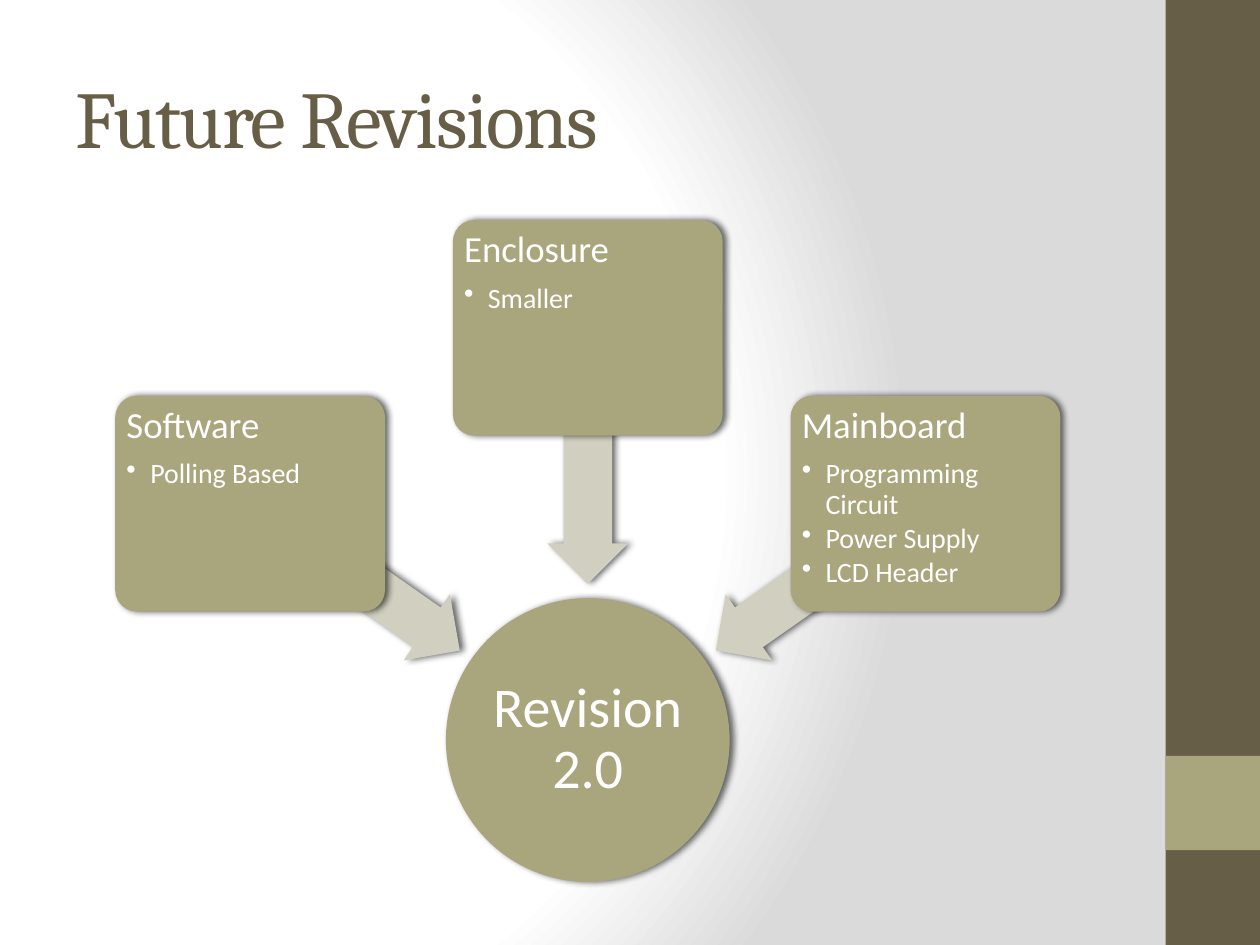
from dataclasses import dataclass
from math import cos, radians, sin

from lxml.etree import SubElement
from pptx import Presentation
from pptx.dml.color import RGBColor
from pptx.enum.shapes import MSO_SHAPE
from pptx.enum.text import MSO_ANCHOR, PP_ALIGN
from pptx.oxml.ns import qn
from pptx.util import Cm, Pt


@dataclass(frozen=True)
class Theme:
    dark: str = "675E47"
    olive: str = "A9A57C"
    pale: str = "D1CFBF"
    white: str = "FFFFFF"
    grey: str = "DADADA"
    black: str = "000000"
    heading_font: str = "Cambria"
    body_font: str = "Calibri"
    title_size: float = 46
    hub_size: float = 32
    heading_size: float = 21
    bullet_size: float = 16


THEME = Theme()
SLIDE_WIDTH, SLIDE_HEIGHT = 25.4, 19.05
HUB_X, HUB_Y, HUB_DIAMETER = 11.85, 14.92, 5.72
CARD_RADIUS, CARD_WIDTH, CARD_HEIGHT = 8.31, 5.44, 4.35
ARROW_RADIUS, ARROW_LENGTH, ARROW_THICKNESS = 5.73, 5.16, 1.63
TIGHT_MARGINS = dict.fromkeys(
    ("margin_left", "margin_top", "margin_right", "margin_bottom"), Cm(0.1))
TOPICS = [
    (215, "Software", ["Polling Based"]),
    (270, "Enclosure", ["Smaller"]),
    (325, "Mainboard", ["Programming Circuit", "Power Supply", "LCD Header"]),
]


def apply_format(target, values):
    for name, value in values.items():
        setattr(target, name, value)


def add_xml(parent, tag, **attributes):
    return SubElement(parent, qn(tag), attributes)


def paint_background(slide):
    slide.background.fill.gradient()
    gradient = slide.element.find(".//" + qn("a:gradFill"))
    for child in list(gradient):
        gradient.remove(child)
    stops = add_xml(gradient, "a:gsLst")
    for percent, colour in ((0, THEME.white), (75, THEME.white), (100, THEME.grey)):
        stop = add_xml(stops, "a:gs", pos=str(percent * 1000))
        add_xml(stop, "a:srgbClr", val=colour)
    circle = add_xml(gradient, "a:path", path="circle")
    add_xml(circle, "a:fillToRect", l="20000", t="50000", r="100000", b="50000")


def add_block(slide, preset, left, top, width, height, colour, adjustments=()):
    block = slide.shapes.add_shape(preset, Cm(left), Cm(top), Cm(width), Cm(height))
    block.fill.solid()
    block.fill.fore_color.rgb = RGBColor.from_string(colour)
    block.line.fill.background()
    block.shadow.inherit = False
    for index, value in enumerate(adjustments):
        block.adjustments[index] = value
    return block


def add_raised(slide, preset, centre, width, height, colour, adjustments=()):
    left, top = centre[0] - width / 2, centre[1] - height / 2
    block = add_block(slide, preset, left, top, width, height, colour, adjustments)
    effects = block.element.spPr.find(qn("a:effectLst"))
    shadow = add_xml(effects, "a:outerShdw", blurRad=str(Pt(4)), dist=str(Pt(2)),
                     dir="0", algn="ctr", rotWithShape="0")
    tint = add_xml(shadow, "a:srgbClr", val=THEME.black)
    add_xml(tint, "a:alpha", val="60000")
    return block


def write_line(paragraph, text, font, size, colour, **layout):
    apply_format(paragraph, {"alignment": PP_ALIGN.LEFT, **layout})
    run = paragraph.add_run()
    run.text = text
    apply_format(run.font, {"name": font, "size": Pt(size)})
    run.font.color.rgb = RGBColor.from_string(colour)
    return run


def add_title(slide, text):
    title = slide.shapes.add_textbox(Cm(1.27), Cm(0.76), Cm(21.16), Cm(3.18))
    frame = title.text_frame
    apply_format(frame, {"word_wrap": True, "vertical_anchor": MSO_ANCHOR.MIDDLE})
    run = write_line(frame.paragraphs[0], text, THEME.heading_font,
                     THEME.title_size, THEME.dark)
    run.font._element.set("spc", "-100")


def add_hub(slide, text):
    hub = add_raised(slide, MSO_SHAPE.OVAL, (HUB_X, HUB_Y), HUB_DIAMETER,
                     HUB_DIAMETER, THEME.olive)
    frame = hub.text_frame
    apply_format(frame, {"word_wrap": True, "vertical_anchor": MSO_ANCHOR.MIDDLE,
                         **TIGHT_MARGINS})
    write_line(frame.paragraphs[0], text, THEME.body_font, THEME.hub_size,
               THEME.white, alignment=PP_ALIGN.CENTER, line_spacing=0.9)


def write_bullet(paragraph, text):
    write_line(paragraph, text, THEME.body_font, THEME.bullet_size, THEME.white,
               level=1, line_spacing=0.9, space_after=Pt(2.4))
    properties = paragraph._p.get_or_add_pPr()
    properties.set("marL", str(Cm(0.48)))
    properties.set("indent", str(-Cm(0.48)))
    add_xml(properties, "a:buChar", char="•")


def around_hub(angle, radius):
    turn = radians(angle)
    return HUB_X + radius * cos(turn), HUB_Y + radius * sin(turn)


def add_topic(slide, angle, heading, bullets):
    arrow = add_raised(slide, MSO_SHAPE.LEFT_ARROW, around_hub(angle, ARROW_RADIUS),
                       ARROW_LENGTH, ARROW_THICKNESS, THEME.pale, (0.6, 0.5))
    arrow.rotation = angle
    card = add_raised(slide, MSO_SHAPE.ROUNDED_RECTANGLE,
                      around_hub(angle, CARD_RADIUS), CARD_WIDTH, CARD_HEIGHT,
                      THEME.olive, (0.1,))
    frame = card.text_frame
    apply_format(frame, {"word_wrap": True, "vertical_anchor": MSO_ANCHOR.TOP,
                         **TIGHT_MARGINS})
    write_line(frame.paragraphs[0], heading, THEME.body_font, THEME.heading_size,
               THEME.white, line_spacing=0.9, space_after=Pt(7.4))
    for bullet in bullets:
        write_bullet(frame.add_paragraph(), bullet)


def add_side_band(slide):
    width = 1.9
    left = SLIDE_WIDTH - width
    for top, height, colour in ((0, SLIDE_HEIGHT, THEME.dark),
                                (15.24, width, THEME.olive)):
        add_block(slide, MSO_SHAPE.RECTANGLE, left, top, width, height, colour)


def main():
    deck = Presentation()
    apply_format(deck, {"slide_width": Cm(SLIDE_WIDTH),
                        "slide_height": Cm(SLIDE_HEIGHT)})
    slide = deck.slides.add_slide(deck.slide_layouts[6])
    paint_background(slide)
    add_side_band(slide)
    add_title(slide, "Future Revisions")
    add_hub(slide, "Revision 2.0")
    for angle, heading, bullets in TOPICS:
        add_topic(slide, angle, heading, bullets)
    deck.save("out.pptx")


if __name__ == "__main__":
    main()
